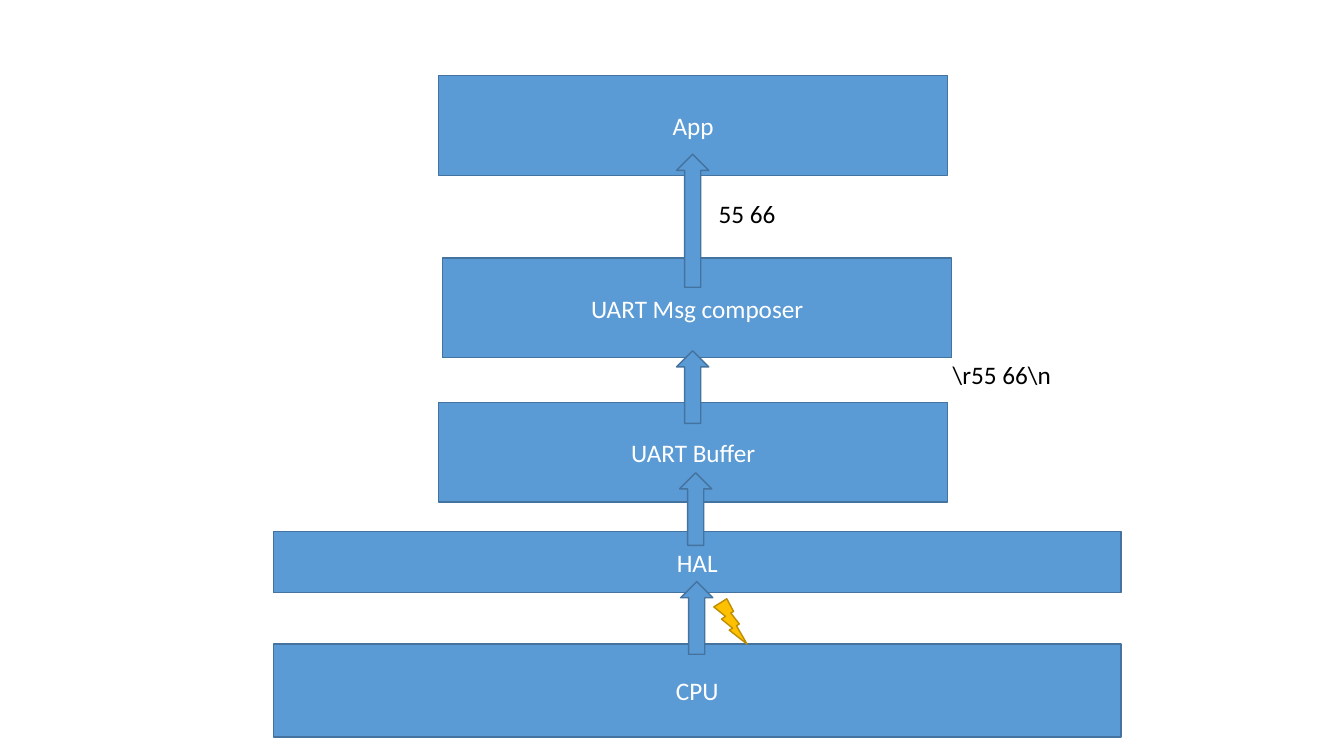
from pptx import Presentation
from pptx.dml.color import RGBColor
from pptx.enum.shapes import MSO_SHAPE
from pptx.enum.text import MSO_ANCHOR, MSO_AUTO_SIZE, PP_ALIGN
from pptx.util import Emu, Pt

RECTANGLE = MSO_SHAPE.RECTANGLE
UP_ARROW = MSO_SHAPE.UP_ARROW
BOLT = MSO_SHAPE.LIGHTNING_BOLT
MIDDLE = MSO_ANCHOR.MIDDLE
TOP = MSO_ANCHOR.TOP
CENTER = PP_ALIGN.CENTER
LEFT = PP_ALIGN.LEFT
FIT_SHAPE = MSO_AUTO_SIZE.SHAPE_TO_FIT_TEXT

BLUE = RGBColor(0x5B, 0x9B, 0xD5)
DARK_BLUE = RGBColor(0x43, 0x73, 0x9E)
GOLD = RGBColor(0xFF, 0xC0, 0x00)
DARK_GOLD = RGBColor(0xBD, 0x8E, 0x00)
WHITE = RGBColor(0xFF, 0xFF, 0xFF)
BLACK = RGBColor(0x00, 0x00, 0x00)

EMU_PER_PX = 9144
ARROW_WIDTH = 32

LAYERS = [
    ("CPU", 271, 639, 841, 92),
    ("HAL", 271, 527, 841, 61),
    ("UART Buffer", 435, 399, 505, 99),
    ("UART Msg composer", 439, 256, 505, 99),
    ("App", 435, 75, 505, 99),
]
ARROWS = [(675, 577, 72), (674, 469, 72), (671, 348, 72), (671, 153, 132)]
MESSAGES = [("55 66", 703, 192, 77, 40), ("\\r55 66\\n", 935, 352, 119, 40)]


class StackSlide:
    """Draws the layers, arrows and messages of a protocol stack on one slide."""

    def __init__(self, page, font="Calibri", size=18):
        self.page = page
        self.font = font
        self.size = size

    def frame(self, *lengths):
        return [Emu(length * EMU_PER_PX) for length in lengths]

    def add_label(self, box, text, color, align, anchor):
        box.text_frame.vertical_anchor = anchor
        para = box.text_frame.paragraphs[0]
        para.alignment = align
        span = para.add_run()
        span.text = text
        span.font.name = self.font
        span.font.size = Pt(self.size)
        span.font.color.rgb = color

    def shape(self, kind, left, top, width, height, fill=BLUE, line=DARK_BLUE):
        box = self.page.shapes.add_shape(kind, *self.frame(left, top, width, height))
        box.shadow.inherit = False
        box.fill.solid()
        box.fill.fore_color.rgb = fill
        box.line.color.rgb = line
        box.line.width = Pt(1)
        return box

    def layer(self, name, left, top, width, height):
        box = self.shape(RECTANGLE, left, top, width, height)
        self.add_label(box, name, WHITE, CENTER, MIDDLE)

    def arrow(self, left, top, height):
        self.shape(UP_ARROW, left, top, ARROW_WIDTH, height)

    def interrupt(self, left, top, width, height):
        self.shape(BOLT, left, top, width, height, GOLD, DARK_GOLD)

    def message(self, text, left, top, width, height):
        box = self.page.shapes.add_textbox(*self.frame(left, top, width, height))
        box.text_frame.word_wrap = False
        box.text_frame.auto_size = FIT_SHAPE
        self.add_label(box, text, BLACK, LEFT, TOP)


def main():
    deck = Presentation()
    deck.slide_width = Emu(1333 * EMU_PER_PX)
    deck.slide_height = Emu(750 * EMU_PER_PX)
    stack = StackSlide(deck.slides.add_slide(deck.slide_layouts[6]))
    for layer in LAYERS:
        stack.layer(*layer)
    for arrow in ARROWS:
        stack.arrow(*arrow)
    stack.interrupt(708, 594, 33, 45)
    for message in MESSAGES:
        stack.message(*message)
    deck.save("out.pptx")


if __name__ == "__main__":
    main()
